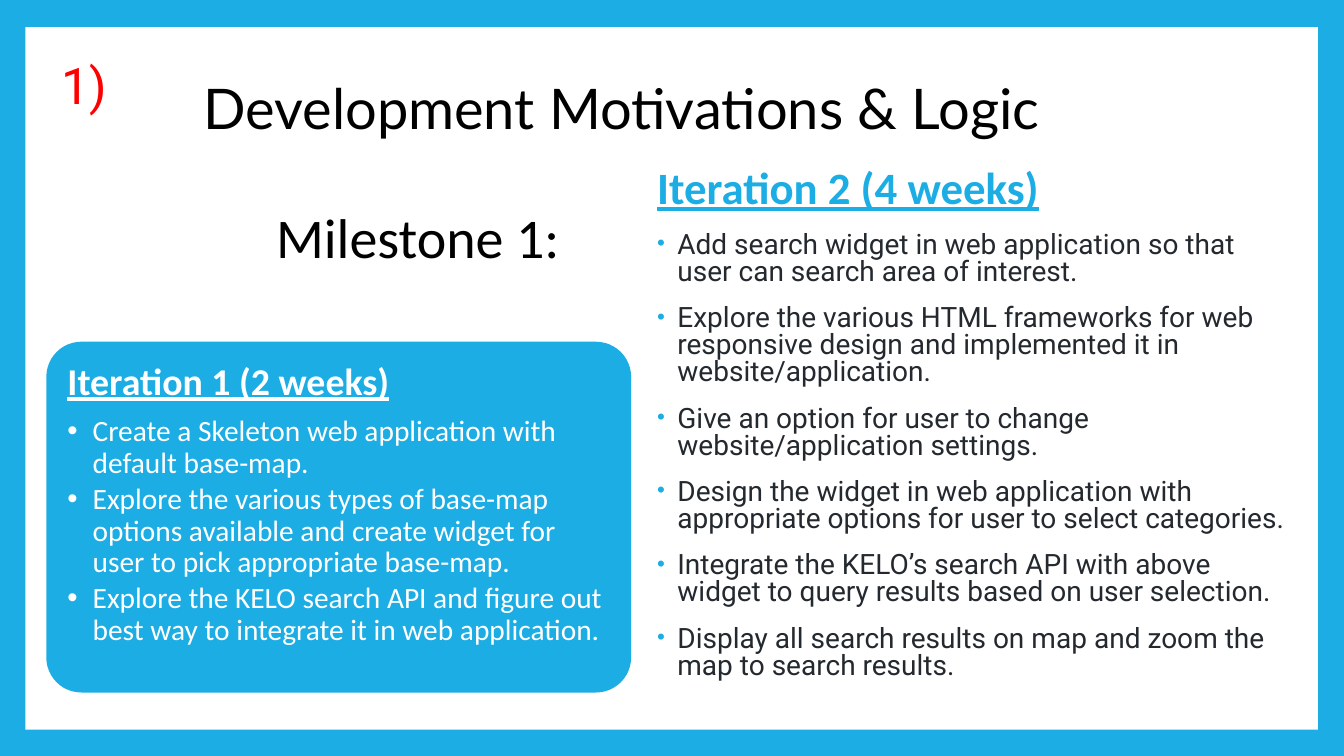
"""Build the slide on development motivations, with the two iterations of milestone 1."""
from dataclasses import dataclass

from lxml.etree import SubElement
from pptx import Presentation
from pptx.dml.color import RGBColor
from pptx.enum.shapes import MSO_SHAPE as Preset
from pptx.enum.text import MSO_ANCHOR as Anchor
from pptx.oxml.ns import qn
from pptx.util import Inches, Pt

SLIDE_WIDTH, SLIDE_HEIGHT = Inches(13.33), Inches(7.5)
COLUMN, ROW = SLIDE_WIDTH / 100, SLIDE_HEIGHT / 100
BLUE, WHITE, BLACK, RED, INK = "1CADE4", "FFFFFF", "000000", "FF0000", "24292F"


@dataclass(frozen=True)
class Area:
    left: float
    top: float
    width: float
    height: float

    def place(self) -> tuple[int, int, int, int]:
        return (round(self.left * COLUMN), round(self.top * ROW),
                round(self.width * COLUMN), round(self.height * ROW))


@dataclass(frozen=True)
class Style:
    font: str
    size: float
    color: str
    heading: bool = False
    line_spacing: float = 0.9
    before: float = 0
    after: float = 0
    margin: float = 0
    hanging: float = 0
    bullet_color: str = ""
    bullet_percent: int = 100


@dataclass(frozen=True)
class TextBlock:
    area: Area
    lines: list[tuple[str, Style]]
    inset: tuple[float, float] = (0.1, 0.05)
    anchor: Anchor = Anchor.TOP


def color_of(value: str) -> RGBColor:
    return RGBColor.from_string(value)


def add_panel(slide, preset: Preset, area: Area, fill: str, corner: float | None = None) -> None:
    shape = slide.shapes.add_shape(preset, *area.place())
    shape.shadow.inherit = False
    shape.fill.solid()
    shape.fill.fore_color.rgb = color_of(fill)
    shape.line.fill.background()
    if corner is not None:
        shape.adjustments[0] = corner


def add_bullet(paragraph, style: Style) -> None:
    properties = paragraph._p.get_or_add_pPr()
    color = SubElement(properties, qn("a:buClr"))
    SubElement(color, qn("a:srgbClr"), val=style.bullet_color)
    SubElement(properties, qn("a:buSzPct"), val=str(style.bullet_percent * 1000))
    SubElement(properties, qn("a:buFont"), typeface="Arial")
    SubElement(properties, qn("a:buChar"), char="•")


def write_line(paragraph, text: str, style: Style) -> None:
    paragraph.line_spacing = style.line_spacing
    paragraph.space_before = Pt(style.before)
    paragraph.space_after = Pt(style.after)
    properties = paragraph._p.get_or_add_pPr()
    properties.set("marL", str(Inches(style.margin)))
    properties.set("indent", str(-Inches(style.hanging)))
    if style.bullet_color:
        add_bullet(paragraph, style)
    run = paragraph.add_run()
    run.text = text
    run.font.name = style.font
    run.font.size = Pt(style.size)
    run.font.bold = run.font.underline = style.heading
    run.font.color.rgb = color_of(style.color)


def add_text(slide, block: TextBlock) -> None:
    frame = slide.shapes.add_textbox(*block.area.place()).text_frame
    frame.word_wrap = True
    frame.vertical_anchor = block.anchor
    frame.margin_left = frame.margin_right = Inches(block.inset[0])
    frame.margin_top = frame.margin_bottom = Inches(block.inset[1])
    for index, (text, style) in enumerate(block.lines):
        paragraph = frame.add_paragraph() if index else frame.paragraphs[0]
        write_line(paragraph, text, style)


TITLE = Style("Lato", 40, BLACK, line_spacing=1)
MILESTONE = Style("Calibri", 40, BLACK)
NUMBER = Style("Roboto", 36, RED, margin=0.05)
FIRST_HEADING = Style("Calibri", 27, WHITE, heading=True, after=9)
FIRST_ITEM = Style("Calibri", 21, WHITE, after=3, margin=0.25, hanging=0.25,
                   bullet_color=WHITE)
SECOND_HEADING = Style("Calibri", 32, BLUE, heading=True, line_spacing=0.8, margin=0.05)
SECOND_ITEM = Style("Roboto", 20, INK, line_spacing=0.8, before=14, margin=0.25,
                    hanging=0.2, bullet_color=BLUE, bullet_percent=80)

FIRST_ITERATION = [
    "Create a Skeleton web application with default base-map.",
    "Explore the various types of base-map options available and create widget "
    "for user to pick appropriate base-map.",
    "Explore the KELO search API and figure out best way to integrate it in web application.",
]
SECOND_ITERATION = [
    "Add search widget in web application so that user can search area of interest.",
    "Explore the various HTML frameworks for web responsive design and implemented it "
    "in website/application.",
    "Give an option for user to change website/application settings.",
    "Design the widget in web application with appropriate options for user to select categories.",
    "Integrate the KELO’s search API with above widget to query results based on user selection.",
    "Display all search results on map and zoom the map to search results.",
]

TEXT_BLOCKS = [
    TextBlock(Area(4.2, 46.53, 42.01, 43.73),
              [("Iteration 1 (2 weeks)", FIRST_HEADING)]
              + [(item, FIRST_ITEM) for item in FIRST_ITERATION], inset=(0.11, 0.11)),
    TextBlock(Area(14.4, 9.07, 76.52, 15.73), [("Development Motivations & Logic", TITLE)]),
    TextBlock(Area(47.79, 21.87, 48.84, 73.6),
              [("Iteration 2 (4 weeks)", SECOND_HEADING)]
              + [(item, SECOND_ITEM) for item in SECOND_ITERATION]),
    TextBlock(Area(3.45, 7.47, 10.95, 13.6), [("1)", NUMBER)]),
    TextBlock(Area(19.8, 21.87, 24.08, 19.73), [("Milestone 1:", MILESTONE)],
              anchor=Anchor.MIDDLE),
]


def main() -> None:
    presentation = Presentation()
    presentation.slide_width, presentation.slide_height = SLIDE_WIDTH, SLIDE_HEIGHT
    slide = presentation.slides.add_slide(presentation.slide_layouts[6])
    slide.background.fill.solid()
    slide.background.fill.fore_color.rgb = color_of(BLUE)
    add_panel(slide, Preset.RECTANGLE, Area(1.88, 3.6, 96.17, 92.93), WHITE)
    add_panel(slide, Preset.ROUNDED_RECTANGLE, Area(3.45, 45.2, 43.51, 46.4), BLUE, corner=0.1)
    for block in TEXT_BLOCKS:
        add_text(slide, block)
    presentation.save("out.pptx")


if __name__ == "__main__":
    main()
